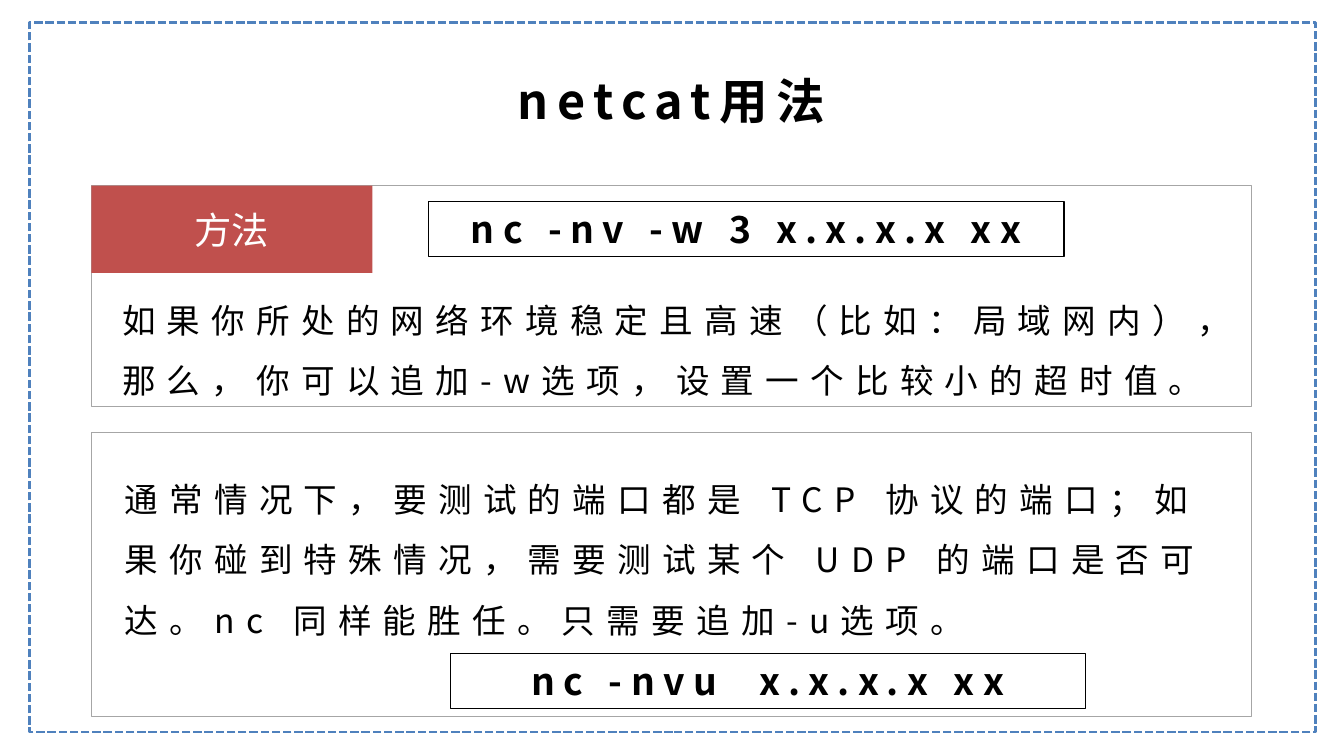
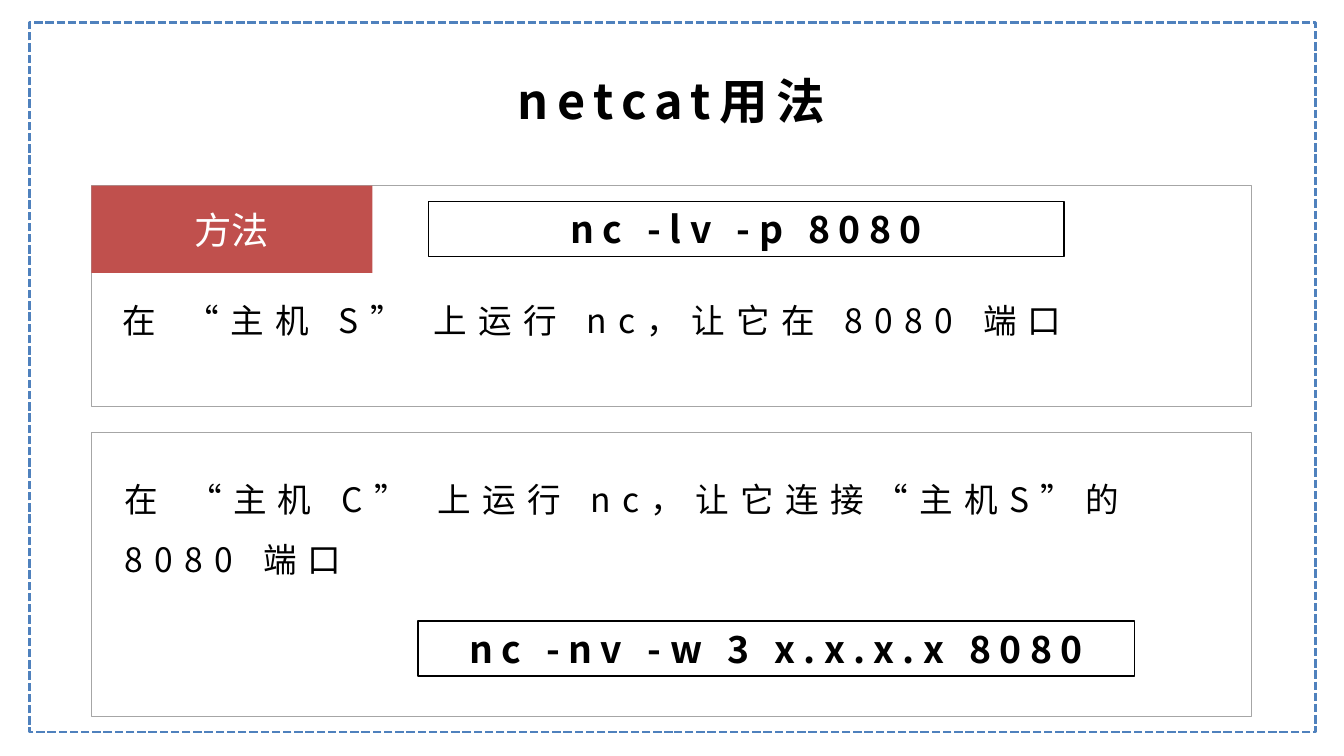
from lxml.etree import SubElement
from pptx import Presentation
from pptx.dml.color import RGBColor
from pptx.enum.dml import MSO_LINE
from pptx.enum.shapes import MSO_SHAPE
from pptx.enum.text import MSO_ANCHOR, MSO_AUTO_SIZE, PP_ALIGN
from pptx.oxml.ns import qn
from pptx.util import Cm, Pt

FONT = "Noto Sans CJK SC"
BLACK, WHITE, RED = "000000", "FFFFFF", "C0504D"
BLUE, GREY = "4F81BD", "A6A6A6"

TITLE_BOX = (7.49, 1.24, 10.41, 1.3)
FRAME_BOX = (0.56, 0.43, 24.31, 13.41)
UPPER_BOX = (1.73, 3.51, 21.92, 4.17)
LOWER_BOX = (1.73, 8.18, 21.92, 5.36)
TEXT_WIDTH = 21.59
COMMAND_HEIGHT = 1.04

# Command boxes are (left, top, width) inside the lower panel.
SLIDES = [
    {
        "command": "nc -nv -w 3 x.x.x.x xx",
        "text": "如果你所处的网络环境稳定且高速（比如：局域网内），那么，你可以追加-w选项，设置一个比较小的超时值。",
        "lower_command": "nc -nvu  x.x.x.x xx",
        "lower_text": "通常情况下，要测试的端口都是 TCP 协议的端口；如果你碰到特殊情况，需要测试某个 UDP 的端口是否可达。nc 同样能胜任。只需要追加-u选项。",
        "lower_command_box": (6.78, 4.17, 12.01),
    },
    {
        "command": "nc -lv -p 8080",
        "text": "在 “主机 S” 上运行 nc，让它在 8080 端口",
        "lower_command": "nc -nv -w 3 x.x.x.x 8080",
        "lower_text": "在 “主机 C” 上运行 nc，让它连接“主机S”的 8080 端口",
        "lower_command_box": (6.17, 3.56, 13.54),
    },
]


def rgb(value):
    return RGBColor.from_string(value)


def lengths(box):
    return [Cm(n) for n in box]


def write(tf, text, size, color=BLACK, bold=False, spacing=0):
    """Fill a text frame with one paragraph and return that paragraph."""
    tf.word_wrap = True
    tf.auto_size = MSO_AUTO_SIZE.NONE
    tf.text = text
    p = tf.paragraphs[0]
    r = p.runs[0]
    r.font.size, r.font.bold = Pt(size), bold
    r.font.color.rgb = rgb(color)
    r.font.name = FONT
    rPr = r._r.get_or_add_rPr()
    rPr.set("spc", str(int(spacing * 100)))
    SubElement(rPr, qn("a:ea"), typeface=FONT)
    return p


def write_label(tf, text, size, **style):
    """Centre a single line in a box with tight margins."""
    tf.margin_left = tf.margin_right = Cm(0.18)
    tf.margin_top = tf.margin_bottom = Cm(0.1)
    tf.vertical_anchor = MSO_ANCHOR.MIDDLE
    write(tf, text, size, **style).alignment = PP_ALIGN.CENTER


def add_rect(s, box, fill=None, line=None, width=0.5):
    sp = s.shapes.add_shape(MSO_SHAPE.RECTANGLE, *lengths(box))
    sp.shadow.inherit = False
    if fill:
        sp.fill.solid()
        sp.fill.fore_color.rgb = rgb(fill)
    else:
        sp.fill.background()
    if line:
        sp.line.color.rgb = rgb(line)
        sp.line.width = Pt(width)
    else:
        sp.line.fill.background()
    return sp


def add_command(s, left, top, width, text):
    sp = add_rect(s, (left, top, width, COMMAND_HEIGHT), line=BLACK, width=0.75)
    write_label(sp.text_frame, text, 20, bold=True, spacing=4.5)


def add_body(s, left, top, height, text):
    sp = s.shapes.add_textbox(*lengths((left, top, TEXT_WIDTH, height)))
    write(sp.text_frame, text, 18, spacing=6).line_spacing = 1.5


def add_upper_panel(s, box, command, text):
    left, top = box[:2]
    add_rect(s, box, line=GREY)
    tab = add_rect(s, (left, top, 5.31, 1.65), fill=RED)
    write_label(tab.text_frame, "方法", 20, color=WHITE)
    add_body(s, left + 0.33, top + 1.65, 2.57, text)
    add_command(s, left + 6.37, top + 0.3, 12.01, command)


def add_lower_panel(s, box, command, text, command_box):
    left, top = box[:2]
    dx, dy, width = command_box
    add_rect(s, box, line=GREY)
    add_body(s, left + 0.38, top + 0.36, 4.65, text)
    add_command(s, left + dx, top + dy, width, command)


def add_base(prs):
    """Add a slide with the dashed frame and the shared title."""
    s = prs.slides.add_slide(prs.slide_layouts[5])
    frame = add_rect(s, FRAME_BOX, line=BLUE, width=1.5)
    frame.line.dash_style = MSO_LINE.SQUARE_DOT
    title = s.shapes.title
    title.left, title.top, title.width, title.height = lengths(TITLE_BOX)
    write_label(title.text_frame, "netcat用法", 26, bold=True, spacing=4.5)
    return s


def main():
    prs = Presentation()
    prs.slide_width, prs.slide_height = Cm(25.4), Cm(14.29)
    for item in SLIDES:
        s = add_base(prs)
        add_lower_panel(s, LOWER_BOX, item["lower_command"],
                        item["lower_text"], item["lower_command_box"])
        add_upper_panel(s, UPPER_BOX, item["command"], item["text"])
    prs.save("out.pptx")


if __name__ == "__main__":
    main()
